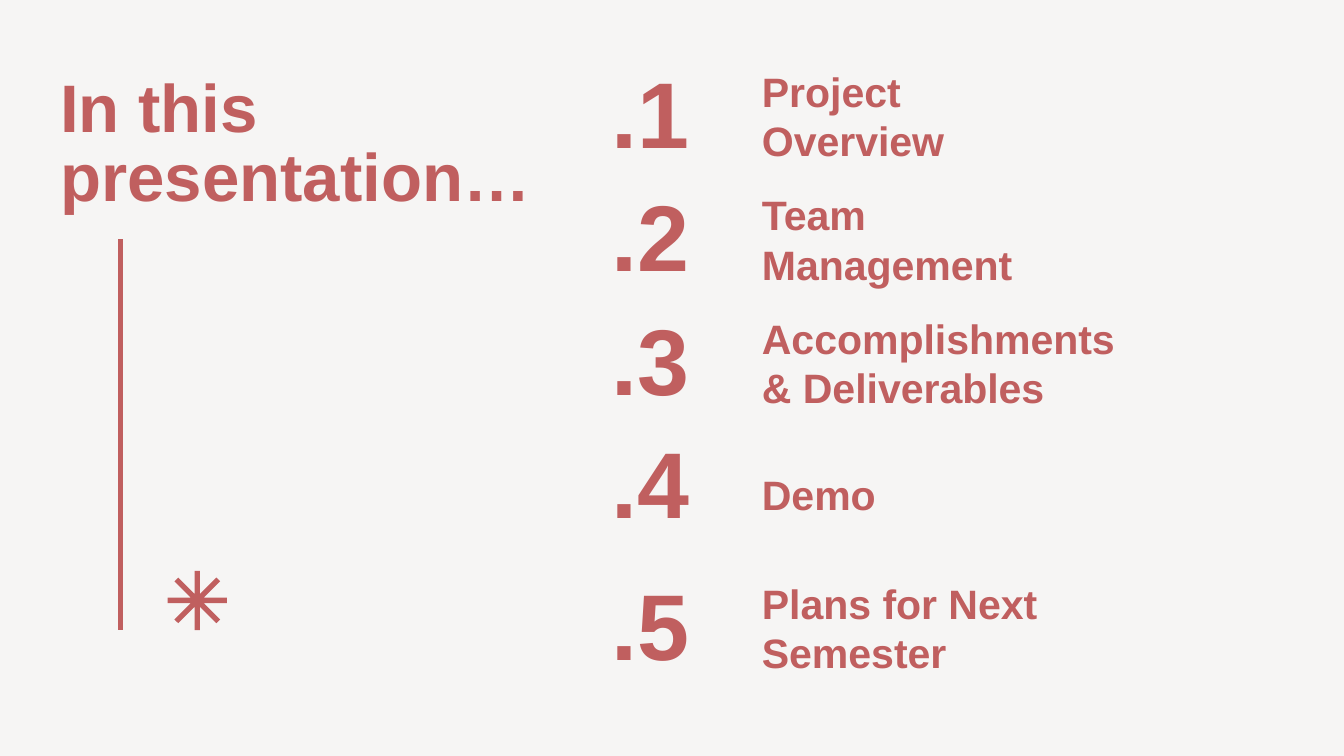
import math

import pptx
import pptx.dml.color
import pptx.enum.shapes
import pptx.enum.text
import pptx.oxml.ns
import pptx.util
from lxml import etree

Cm = pptx.util.Cm
Anchor = pptx.enum.text.MSO_ANCHOR
Align = pptx.enum.text.PP_ALIGN

COLORS = {"background": "F6F5F4", "accent": "C05F5F"}
FONT = "Arial"


class AgendaSlide:
    """Style and current slide, with a method for each kind of element."""

    def __init__(self, prs):
        self.s = prs.slides.add_slide(prs.slide_layouts[5])
        fill = self.s.background.fill
        fill.solid()
        fill.fore_color.rgb = self.color("background")

    def color(self, name):
        return pptx.dml.color.RGBColor.from_string(COLORS[name])

    def set_text(self, sp, text, size, anchor, align, inset=0, spacing=None):
        tf = sp.text_frame
        tf.text = text
        tf.word_wrap = True
        tf.auto_size = pptx.enum.text.MSO_AUTO_SIZE.NONE
        tf.vertical_anchor = anchor
        tf.margin_left = tf.margin_right = Cm(inset)
        tf.margin_top = tf.margin_bottom = Cm(inset)
        p = tf.paragraphs[0]
        p.alignment = align
        if spacing:
            p.line_spacing = spacing
        r = p.runs[0]
        r.font.name = FONT
        r.font.size = pptx.util.Pt(size)
        r.font.bold = True
        r.font.color.rgb = self.color("accent")

    def title(self, text, x, y, w, h):
        sp = self.s.shapes.title
        sp.left, sp.top, sp.width, sp.height = Cm(x), Cm(y), Cm(w), Cm(h)
        self.set_text(sp, text, 36, Anchor.TOP, Align.LEFT, inset=0.25, spacing=0.85)

    def text(self, text, x, y, w, h, size, anchor, align):
        sp = self.s.shapes.add_textbox(Cm(x), Cm(y), Cm(w), Cm(h))
        self.set_text(sp, text, size, anchor, align)

    def line(self, x1, y1, x2, y2, width):
        straight = pptx.enum.shapes.MSO_CONNECTOR.STRAIGHT
        sp = self.s.shapes.add_connector(straight, Cm(x1), Cm(y1), Cm(x2), Cm(y2))
        sp.line.color.rgb = self.color("accent")
        sp.line.width = pptx.util.Pt(width)
        etree.SubElement(sp._element.spPr, pptx.oxml.ns.qn("a:effectLst"))

    def asterisk(self, cx, cy, radius, half_width, arms=8):
        # Each arm has two tip corners and a notch before the next arm
        step = 2 * math.pi / arms
        tip = math.hypot(radius, half_width)
        spread = math.atan2(half_width, radius)
        notch = half_width / math.sin(step / 2)
        points = []
        for i in range(arms):
            for dist, turn in ((tip, -spread), (tip, spread), (notch, step / 2)):
                angle = i * step + turn
                points.append((Cm(cx + dist * math.cos(angle)),
                               Cm(cy + dist * math.sin(angle))))
        builder = self.s.shapes.build_freeform(*points[0])
        builder.add_line_segments(points[1:], close=True)
        sp = builder.convert_to_shape()
        sp.shadow.inherit = False
        sp.fill.solid()
        sp.fill.fore_color.rgb = self.color("accent")
        sp.line.fill.background()


def main():
    prs = pptx.Presentation()
    prs.slide_width, prs.slide_height = Cm(25.4), Cm(14.29)
    slide = AgendaSlide(prs)

    # Heading
    slide.title("In this presentation…", 0.89, 1.22, 9.55, 3.3)

    # Agenda: label, label width, extra gap above the row, label drop
    agenda = [
        ("Project Overview", 5.11, 0, 0.3),
        ("Team Management", 5.11, 0, 0.3),
        ("Accomplishments & Deliverables", 6.98, 0, 0.3),
        ("Demo", 6.15, 0, 0),
        ("Plans for Next Semester", 6.15, 0.36, 0.3),
    ]
    top, pitch = 0.94, 2.33
    for i, (label, width, gap, drop) in enumerate(agenda):
        y = top + i * pitch + gap
        slide.text(f".{i + 1}", 10.92, y, 2.74, 2.33, 50, Anchor.MIDDLE, Align.CENTER)
        slide.text(label, 14.4, y + drop, width, 1.88, 22, Anchor.BOTTOM, Align.LEFT)

    # Decoration
    slide.line(2.28, 4.52, 2.28, 11.91, 3)
    slide.asterisk(3.73, 11.35, 0.56, 0.05)

    prs.save("out.pptx")


if __name__ == "__main__":
    main()
